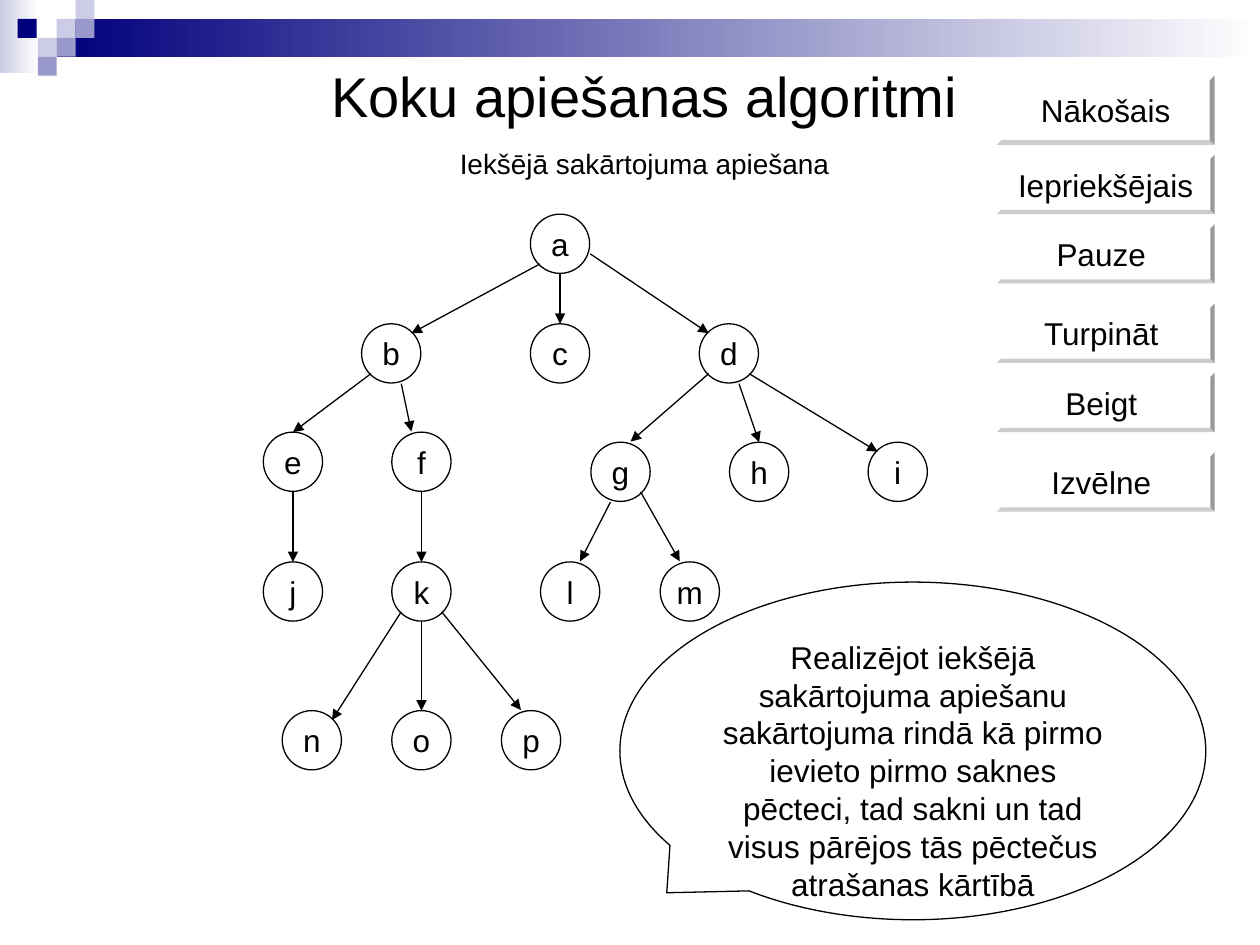
from lxml.etree import SubElement
from pptx import Presentation
from pptx.dml.color import RGBColor
from pptx.enum.shapes import MSO_CONNECTOR, MSO_SHAPE
from pptx.enum.text import MSO_ANCHOR, PP_ALIGN
from pptx.oxml.ns import qn
from pptx.util import Inches, Pt

NODE = 0.47
STEP = 0.08
NAVY, LILAC, PERIWINKLE = "00007D", "CCCCE6", "9999CC"
CHECKERS = [
    (0.45, 0.15, LILAC), (0.6, 0, LILAC), (0.6, 0.15, PERIWINKLE), (0.3, 0.3, LILAC),
    (0.14, 0.15, NAVY), (0.45, 0.3, PERIWINKLE), (0.3, 0.45, PERIWINKLE),
]
BUTTONS = [
    ("Nākošais", 0.6, 0.55), ("Iepriekšējais", 1.23, 0.47), ("Pauze ", 1.78, 0.47),
    ("Turpināt ", 2.41, 0.47), ("Beigt ", 2.96, 0.47), ("Izvēlne ", 3.59, 0.47),
]
LEVELS = [
    (1.7, {"a": 4.21}),
    (2.57, {"b": 2.87, "c": 4.21, "d": 5.55}),
    (3.43, {"e": 2.09, "f": 3.11}),
    (3.51, {"g": 4.69, "h": 5.79, "i": 6.89}),
    (4.46, {"j": 2.09, "k": 3.11, "l": 4.29, "m": 5.24}),
    (5.64, {"n": 2.24, "o": 3.11, "p": 3.98}),
]
EDGES = [
    ("ab", (-2, 2), (2, -2)), ("ac", (0, 3), (0, -3)), ("ad", (3, 1), (-2, -2)),
    ("be", (-2, 2), (0, -3)), ("bf", (1, 3), (-1, -3)),
    ("dg", (-2, 2), (1, -3)), ("dh", (1, 3), (0, -3)), ("di", (2, 2), (-2, -2)),
    ("ej", (0, 3), (0, -3)), ("fk", (0, 3), (0, -3)),
    ("gl", (-1, 3), (1, -3)), ("gm", (2, 2), (-1, -3)),
    ("kn", (-2, 2), (2, -2)), ("ko", (0, 3), (0, -3)), ("kp", (2, 2), (-1, -3)),
]
EXPLANATION = (
    "Realizējot iekšējā sakārtojuma apiešanu sakārtojuma rindā kā pirmo ievieto "
    "pirmo saknes pēcteci, tad sakni un tad visus pārējos tās pēctečus atrašanas kārtībā"
)


def color(value):
    return RGBColor.from_string(value)


class TreeSlide:
    """Draws the elements of the tree slide in one shared style."""

    font = "Arial"
    ink = "000000"
    paper = "FFFFFF"
    line_width = Pt(0.75)

    def __init__(self, slide):
        self.slide = slide
        self.nodes = {}

    def style(self, paragraph, size):
        paragraph.alignment = PP_ALIGN.CENTER
        for run in paragraph.runs:
            run.font.name = self.font
            run.font.size = Pt(size)
            run.font.color.rgb = color(self.ink)

    def shape(self, preset, left, top, width, height, fill, outlined=False):
        shape = self.slide.shapes.add_shape(
            preset, Inches(left), Inches(top), Inches(width), Inches(height))
        shape.shadow.inherit = False
        shape.fill.solid()
        shape.fill.fore_color.rgb = color(fill)
        if outlined:
            shape.line.color.rgb = color(self.ink)
            shape.line.width = self.line_width
        else:
            shape.line.fill.background()
        return shape

    def label(self, shape, text, wrap=False, anchor=MSO_ANCHOR.MIDDLE):
        frame = shape.text_frame
        frame.text = text
        frame.word_wrap = wrap
        frame.vertical_anchor = anchor
        self.style(frame.paragraphs[0], 18)

    def gradient(self, left, top, width, height, start):
        band = self.shape(MSO_SHAPE.RECTANGLE, left, top, width, height, self.paper)
        band.fill.gradient()
        band.fill.gradient_angle = 180
        for stop, value in zip(band.fill.gradient_stops, (self.paper, start)):
            stop.color.rgb = color(value)

    def heading(self, title, subtitle):
        box = self.slide.shapes.add_textbox(
            Inches(1.77), Inches(0.44), Inches(6.69), Inches(1.04))
        frame = box.text_frame
        frame.word_wrap = True
        frame.text = f"{title}\n{subtitle}"
        for paragraph, size in zip(frame.paragraphs, (32, 16)):
            self.style(paragraph, size)
        frame.paragraphs[1].space_before = Pt(10)

    def button(self, text, top, height):
        button = self.shape(MSO_SHAPE.BEVEL, 7.91, top, 1.73, height, self.paper)
        button.adjustments[0] = 0.07
        self.label(button, text)

    def node(self, letter, left, top):
        node = self.shape(MSO_SHAPE.OVAL, left, top, NODE, NODE, self.paper, True)
        self.label(node, letter)
        self.nodes[letter] = node

    def near(self, letter, offset):
        node = self.nodes[letter]
        return (node.left + node.width // 2 + Inches(offset[0] * STEP),
                node.top + node.height // 2 + Inches(offset[1] * STEP))

    def edge(self, parent, child, start, end):
        arrow = self.slide.shapes.add_connector(
            MSO_CONNECTOR.STRAIGHT, *self.near(parent, start), *self.near(child, end))
        if end == (0, -3):
            arrow.end_connect(self.nodes[child], 0)
        arrow.line.color.rgb = color(self.ink)
        arrow.line.width = self.line_width
        SubElement(arrow.line._get_or_add_ln(), qn("a:tailEnd"), type="triangle")
        SubElement(arrow._element.spPr, qn("a:effectLst"))

    def callout(self, text):
        callout = self.shape(
            MSO_SHAPE.OVAL_CALLOUT, 4.92, 4.62, 4.65, 2.68, self.paper, True)
        callout.adjustments[0] = -0.42
        callout.adjustments[1] = 0.42
        self.label(callout, text, True, MSO_ANCHOR.TOP)


def main():
    presentation = Presentation()
    presentation.slide_width = Inches(10)
    presentation.slide_height = Inches(7.5)
    page = TreeSlide(presentation.slides.add_slide(presentation.slide_layouts[6]))

    page.gradient(0, 0, 0.31, 0.58, LILAC)
    page.gradient(0.45, 0.15, 9.55, 0.3, NAVY)
    for left, top, fill in CHECKERS:
        page.shape(MSO_SHAPE.RECTANGLE, left, top, 0.15, 0.15, fill)

    page.heading("Koku apiešanas algoritmi", "Iekšējā sakārtojuma apiešana")
    for text, top, height in BUTTONS:
        page.button(text, top, height)
    for top, row in LEVELS:
        for letter, left in row.items():
            page.node(letter, left, top)
    for (parent, child), start, end in EDGES:
        page.edge(parent, child, start, end)
    page.callout(EXPLANATION)

    presentation.save("out.pptx")


if __name__ == "__main__":
    main()
